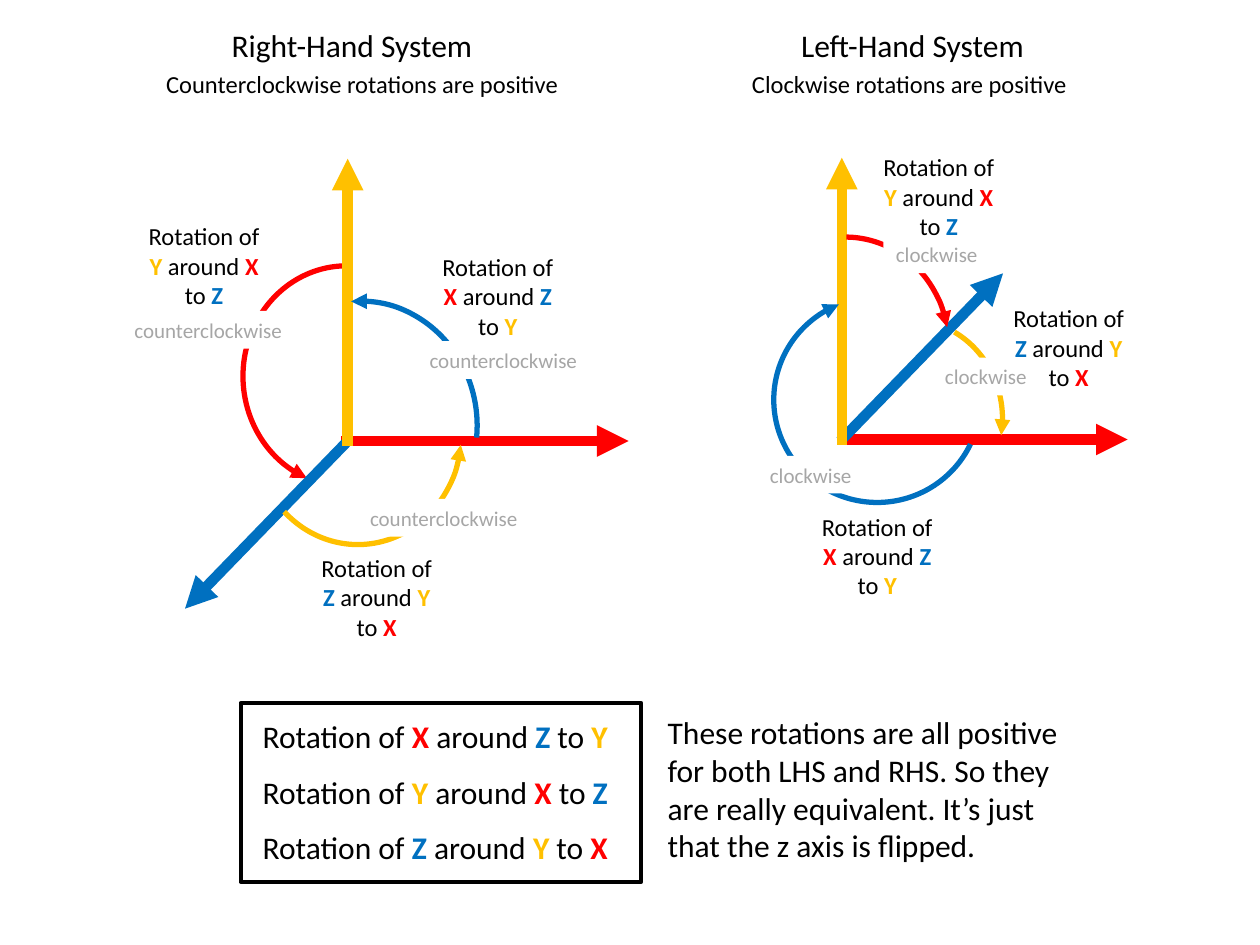
"""Build a slide comparing positive rotations in right- and left-hand systems."""
from dataclasses import dataclass

import pptx
import pptx.dml.color
import pptx.enum.shapes
import pptx.enum.text
import pptx.oxml.ns
import pptx.util
from lxml import etree
from pptx.util import Cm

COLOURS = {"X": "FF0000", "Y": "FFC000", "Z": "0070C0",
           "text": "000000", "tag": "A6A6A6", "paper": "FFFFFF"}
TURNS = {"Z": ("X", "Y"), "X": ("Y", "Z"), "Y": ("Z", "X")}
TAG_WIDTHS = {"counterclockwise": 3.53, "clockwise": 2.34}


@dataclass
class Rotation:
    """Placement in centimetres and degrees of one rotation's arc, label and tag."""
    axis: str
    arc: tuple
    angles: tuple
    label: tuple
    tag: tuple
    flip: str = ""
    arrow_end: str = "tailEnd"


RIGHT_BEHIND = Rotation("X", (4.9, 5.36, 4.17, 4.45), (271.86, 68.8),
                        (2.64, 4.34), (2.46, 6.27), flip="flipH")
RIGHT_ROTATIONS = [
    Rotation("Z", (4.9, 6.07, 4.72, 5.03), (265.88, 5.76),
             (8.56, 4.95), (8.41, 6.88), arrow_end="headEnd"),
    Rotation("Y", (5.13, 6.53, 4.17, 4.45), (226.45, 354.09),
             (6.12, 11.02), (7.21, 10.06), flip="flipV"),
]
LEFT_ROTATIONS = [
    Rotation("Z", (15.6, 5.99, 4.17, 4.14), (25.46, 248.12),
             (16.21, 10.19), (15.27, 9.19)),
    Rotation("X", (14.96, 4.78, 4.17, 4.45), (270.51, 348.72),
             (17.45, 2.95), (17.81, 4.75)),
    Rotation("Y", (16.48, 6.45, 3.73, 3.99), (297.13, 10.14),
             (20.07, 5.99), (18.8, 7.21)),
]
RIGHT_AXES = {"X": (6.88, 8.89, 12.67, 8.89), "Z": (7.01, 8.89, 3.73, 12.27),
              "Y": (7.01, 8.99, 7.01, 3.2)}
LEFT_AXES = {"X": (16.94, 8.86, 22.73, 8.86), "Z": (16.94, 8.89, 20.22, 5.51),
             "Y": (16.97, 8.97, 16.97, 3.18)}


def rgb(name):
    """Return the named colour."""
    return pptx.dml.color.RGBColor.from_string(COLOURS[name])


def cm(values):
    """Convert numbers to lengths in centimetres."""
    return [Cm(value) for value in values]


def style_line(line, colour, width):
    """Set a line's colour and width in points."""
    line.color.rgb = rgb(colour)
    line.width = pptx.util.Pt(width)


def add_arrowhead(line, end):
    """Put a triangle on one end of a line."""
    etree.SubElement(line._get_or_add_ln(), pptx.oxml.ns.qn("a:" + end), type="triangle")


def add_text(slide, box, runs, size, centred=False, wrap=True):
    """Add a text box from (text, colour name) runs, with axis letters in bold."""
    textbox = slide.shapes.add_textbox(*cm(box))
    frame = textbox.text_frame
    frame.word_wrap = wrap
    frame.auto_size = pptx.enum.text.MSO_AUTO_SIZE.SHAPE_TO_FIT_TEXT
    paragraph = frame.paragraphs[0]
    if centred:
        paragraph.alignment = pptx.enum.text.PP_ALIGN.CENTER
    for text, colour in runs:
        run = paragraph.add_run()
        run.text = text
        run.font.name = "Calibri"
        run.font.size = pptx.util.Pt(size)
        run.font.bold = colour in TURNS
        run.font.color.rgb = rgb(colour)
    return textbox


def rotation_runs(axis):
    """Return the runs that describe the rotation around an axis."""
    turned, target = TURNS[axis]
    return [("Rotation of ", "text"), (turned, turned), (" around ", "text"),
            (axis, axis), (" to ", "text"), (target, target)]


def add_axes(slide, axes):
    """Draw the three axis arrows of a system."""
    for name, ends in axes.items():
        axis = slide.shapes.add_connector(
            pptx.enum.shapes.MSO_CONNECTOR.STRAIGHT, *cm(ends))
        style_line(axis.line, name, 6)
        add_arrowhead(axis.line, "tailEnd")
        etree.SubElement(axis._element.spPr, pptx.oxml.ns.qn("a:effectLst"))


def add_rotation(slide, rotation, direction):
    """Draw a rotation's arc, its label and its direction tag."""
    arc = slide.shapes.add_shape(pptx.enum.shapes.MSO_SHAPE.ARC, *cm(rotation.arc))
    for index, angle in enumerate(rotation.angles):
        arc.adjustments[index] = angle * 0.6
    if rotation.flip:
        arc._element.spPr.find(pptx.oxml.ns.qn("a:xfrm")).set(rotation.flip, "1")
    arc.shadow.inherit = False
    arc.fill.background()
    style_line(arc.line, rotation.axis, 3)
    add_arrowhead(arc.line, rotation.arrow_end)
    add_text(slide, (*rotation.label, 2.95, 2.06), rotation_runs(rotation.axis), 14,
             centred=True)
    tag = add_text(slide, (*rotation.tag, TAG_WIDTHS[direction], 0.76),
                   [(direction, "tag")], 12, wrap=False)
    tag.fill.solid()
    tag.fill.fore_color.rgb = rgb("paper")


def add_heading(slide, system, system_box, rule, rule_box):
    """Add a system's name and its rule, each at a (left, width) pair."""
    for text, (left, width), top, height, size in (
            (system, system_box, 0.41, 1.02, 18), (rule, rule_box, 1.27, 0.86, 14)):
        add_text(slide, (left, top, width, height), [(text, "text")], size)


def add_summary(slide):
    """Add the framed list of rotations and the conclusion beside it."""
    frame = slide.shapes.add_shape(
        pptx.enum.shapes.MSO_SHAPE.RECTANGLE, *cm((4.85, 14.17, 8.08, 3.61)))
    frame.shadow.inherit = False
    frame.fill.background()
    style_line(frame.line, "text", 2.25)
    for row, axis in enumerate(TURNS):
        add_text(slide, (4.85, 14.33 + 1.12 * row, 7.85, 1.02), rotation_runs(axis), 18,
                 centred=True)
    conclusion = ("These rotations are all positive for both LHS and RHS. So they "
                  "are really equivalent. It’s just that the z axis is flipped.")
    add_text(slide, (13.21, 14.25, 8.46, 3.33), [(conclusion, "text")], 18)


def main():
    """Build and save the slide."""
    deck = pptx.Presentation()
    deck.slide_width, deck.slide_height = Cm(25.4), Cm(19.05)
    slide = deck.slides.add_slide(deck.slide_layouts.get_by_name("Blank"))
    add_heading(slide, "Right-Hand System", (4.42, 5.51),
                "Counterclockwise rotations are positive", (3.1, 8.61))
    add_heading(slide, "Left-Hand System", (15.9, 5.05),
                "Clockwise rotations are positive", (14.91, 7.06))
    add_rotation(slide, RIGHT_BEHIND, "counterclockwise")
    add_axes(slide, RIGHT_AXES)
    for rotation in RIGHT_ROTATIONS:
        add_rotation(slide, rotation, "counterclockwise")
    add_axes(slide, LEFT_AXES)
    for rotation in LEFT_ROTATIONS:
        add_rotation(slide, rotation, "clockwise")
    add_summary(slide)
    deck.save("out.pptx")


if __name__ == "__main__":
    main()
